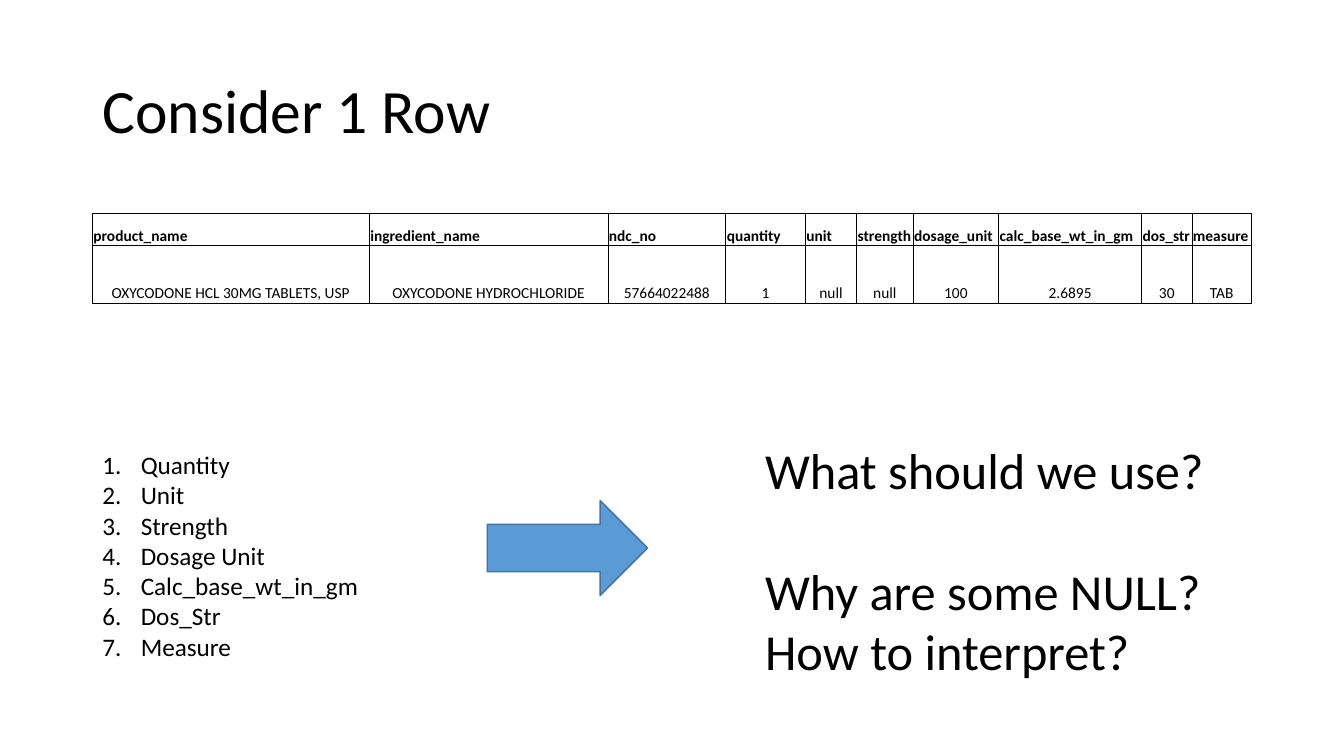
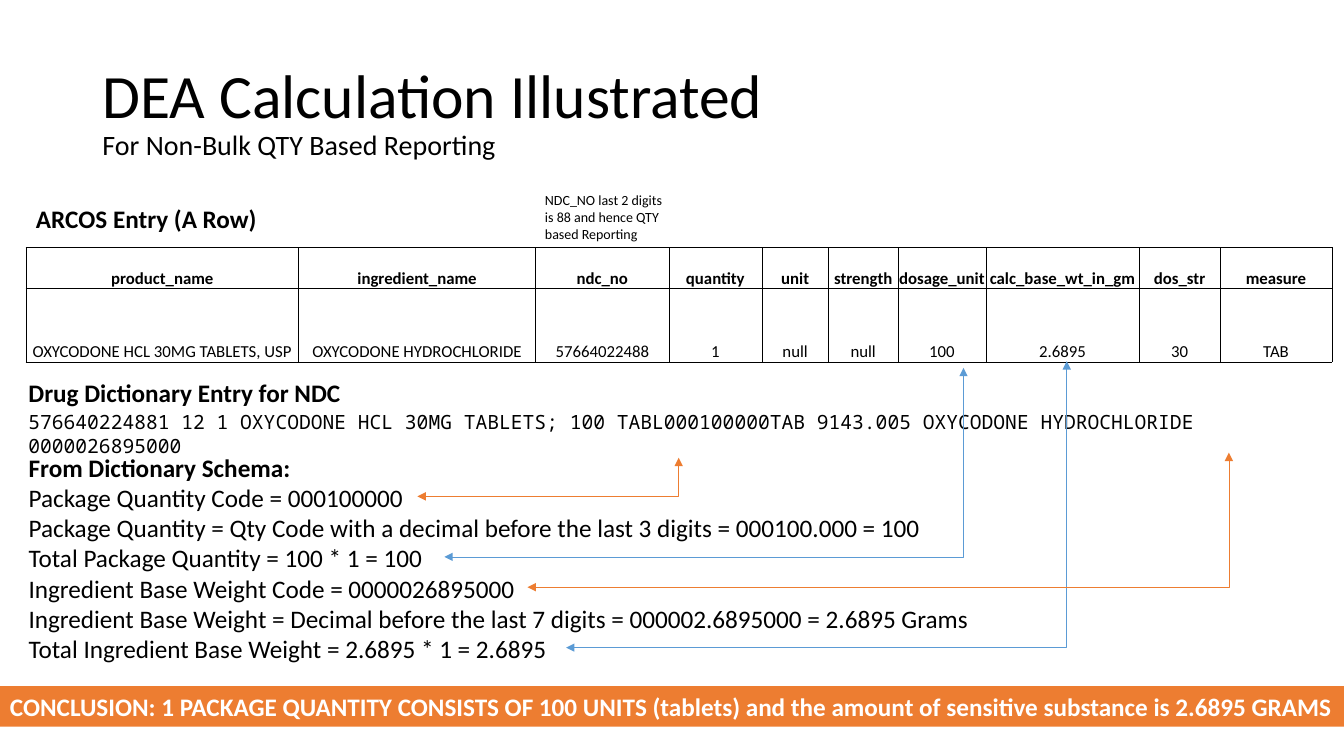
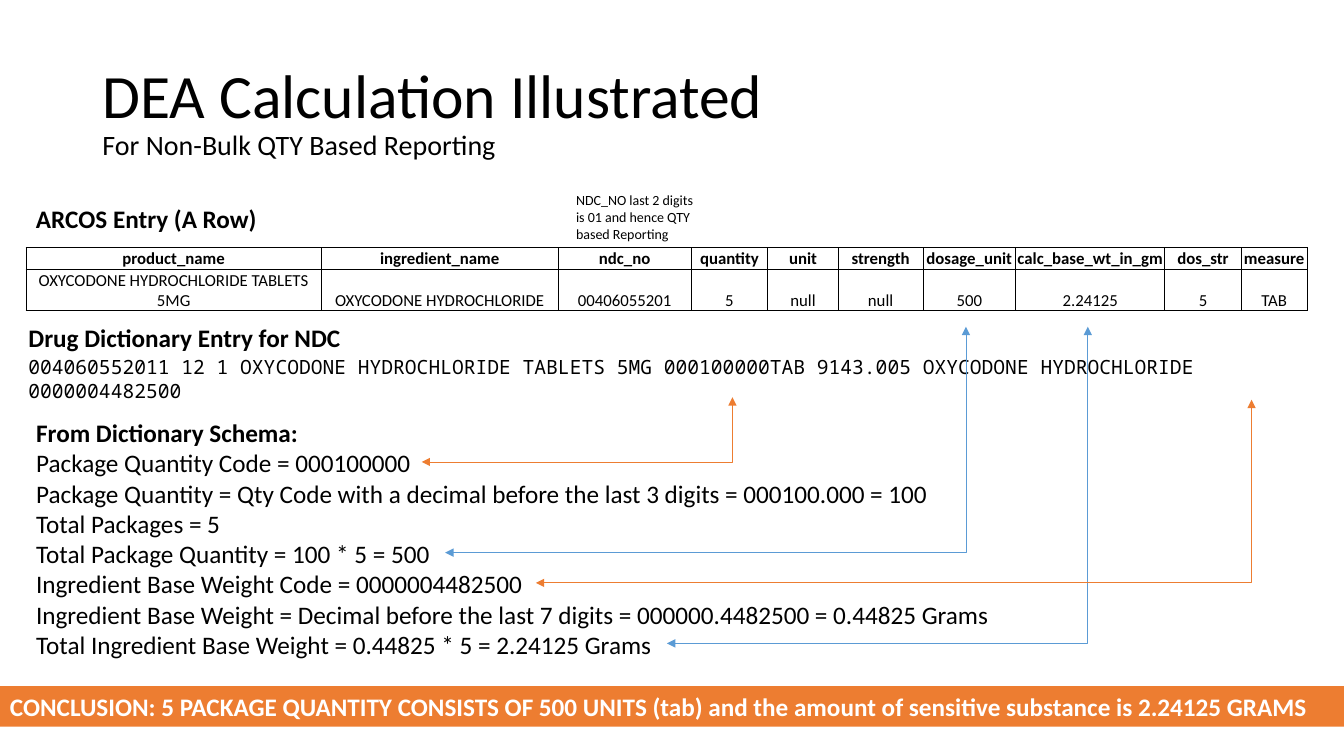
from dataclasses import dataclass

from lxml.etree import SubElement
from pptx import Presentation
from pptx.dml.color import RGBColor
from pptx.enum.shapes import MSO_CONNECTOR, MSO_SHAPE
from pptx.enum.text import MSO_ANCHOR, MSO_AUTO_SIZE, PP_ALIGN
from pptx.oxml.ns import qn
from pptx.util import Inches, Pt

# Slide grid: 160 columns by 90 rows of square cells
COLUMNS, ROWS = 160, 90
CELL = Inches(7.5) / ROWS


@dataclass(frozen=True)
class Theme:
    font: str = "Calibri"
    mono: str = "Noto Sans Mono"
    ink: RGBColor = RGBColor.from_string("000000")
    paper: RGBColor = RGBColor.from_string("FFFFFF")
    blue: RGBColor = RGBColor.from_string("5B9BD5")
    blue_edge: RGBColor = RGBColor.from_string("43739E")
    orange: RGBColor = RGBColor.from_string("ED7D31")
    title: int = 44
    question: int = 36
    subtitle: int = 20
    body: int = 18
    code: int = 14
    cell: int = 12
    small_cell: int = 11
    note: int = 10
    hairline: float = 0.5


THEME = Theme()


@dataclass(frozen=True)
class Box:
    left: float
    top: float
    width: float
    height: float

    def inner(self, dx, dy, width, height):
        return Box(self.left + dx, self.top + dy, width, height)

    def emu(self):
        return [grid(v) for v in (self.left, self.top, self.width, self.height)]


TITLE_BOX = Box(11, 4.8, 138, 17.4)
BAND_BOX = Box(0, 81.7, COLUMNS, 4.8)
HEADING_HEIGHT = 4.8
SCHEMA_FIRST_LINE, SCHEMA_LINE_PITCH = 2.3, 3.6

FIELDS = ["product_name", "ingredient_name", "ndc_no", "quantity", "unit",
          "strength", "dosage_unit", "calc_base_wt_in_gm", "dos_str", "measure"]


def grid(cells):
    return round(cells * CELL)


def apply(target, values):
    for name, value in values.items():
        setattr(target, name, value)


def move(shape, box):
    apply(shape, dict(zip(("left", "top", "width", "height"), box.emu())))


def add_run(paragraph, text, size, bold=False, color=THEME.ink, font=THEME.font):
    run = paragraph.add_run()
    run.text = text
    apply(run.font, {"size": Pt(size), "bold": bold, "name": font})
    run.font.color.rgb = color


def add_text(slide, box, paragraphs, size, anchor=MSO_ANCHOR.TOP, gap=0, **style):
    frame = slide.shapes.add_textbox(*box.emu()).text_frame
    apply(frame, {"word_wrap": True, "vertical_anchor": anchor,
                  "auto_size": MSO_AUTO_SIZE.SHAPE_TO_FIT_TEXT})
    for index, text in enumerate(paragraphs):
        paragraph = frame.paragraphs[0] if index == 0 else frame.add_paragraph()
        paragraph.space_before = Pt(gap if index else 0)
        add_run(paragraph, text, size, **style)


def add_titled_slide(deck, title, subtitle=None):
    slide = deck.slides.add_slide(deck.slide_layouts[1])
    heading = slide.shapes.title
    move(heading, TITLE_BOX)
    apply(heading.text_frame, {"auto_size": MSO_AUTO_SIZE.NONE,
                               "vertical_anchor": MSO_ANCHOR.MIDDLE})
    paragraph = heading.text_frame.paragraphs[0]
    apply(paragraph, {"alignment": PP_ALIGN.LEFT, "line_spacing": 0.9})
    add_run(paragraph, title, THEME.title)
    if subtitle:
        paragraph.add_line_break()
        add_run(paragraph, subtitle, THEME.subtitle)
    return slide


def fill_list(slide, box, lines, numbered=False, bold_first=False):
    body = slide.placeholders[1]
    move(body, box)
    frame = body.text_frame
    frame.auto_size = MSO_AUTO_SIZE.NONE
    indent = Inches(0.38) if numbered else 0
    for index, line in enumerate(lines):
        paragraph = frame.paragraphs[0] if index == 0 else frame.add_paragraph()
        apply(paragraph, {"space_before": Pt(0), "space_after": Pt(0)})
        add_run(paragraph, line, THEME.body, bold=bold_first and index == 0)
        properties = paragraph._p.get_or_add_pPr()
        properties.set("marL", str(indent))
        properties.set("indent", str(-indent))
        if numbered:
            SubElement(properties, qn("a:buFont"), typeface=THEME.font)
            SubElement(properties, qn("a:buAutoNum"), type="arabicPeriod")
        else:
            SubElement(properties, qn("a:buNone"))


def border_cell(cell):
    properties = cell._tc.get_or_add_tcPr()
    for position, side in enumerate(("lnL", "lnR", "lnT", "lnB")):
        edge = SubElement(properties, qn(f"a:{side}"), w=str(Pt(THEME.hairline)))
        paint = SubElement(edge, qn("a:solidFill"))
        SubElement(paint, qn("a:srgbClr"), val=str(THEME.ink))
        properties.insert(position, edge)


def add_record(slide, box, values, widths, heights, size, header_align=PP_ALIGN.CENTER):
    """Table of the field names over one row of values."""
    table = slide.shapes.add_table(2, len(FIELDS), *box.emu()).table
    apply(table, {"first_row": False, "horz_banding": False})
    for column, share in zip(table.columns, widths):
        column.width = grid(box.width * share / sum(widths))
    for row, share in zip(table.rows, heights):
        row.height = grid(box.height * share / sum(heights))
    for r, texts in enumerate((FIELDS, values)):
        for c, text in enumerate(texts):
            cell = table.cell(r, c)
            apply(cell, {"margin_left": Inches(0.01), "margin_right": Inches(0.01),
                         "margin_top": Inches(0.01), "margin_bottom": 0,
                         "vertical_anchor": MSO_ANCHOR.BOTTOM})
            cell.fill.background()
            border_cell(cell)
            paragraph = cell.text_frame.paragraphs[0]
            paragraph.alignment = PP_ALIGN.CENTER if r else header_align
            add_run(paragraph, text, size, bold=r == 0)


def add_source_arrow(slide, start, end, color):
    """Two-headed elbow: level from the formula, then up to its source."""
    arrow = slide.shapes.add_connector(
        MSO_CONNECTOR.ELBOW, *(grid(v) for v in (*start, *end)))
    arrow.line.color.rgb = color
    arrow.line.width = Pt(THEME.hairline)
    properties = arrow._element.spPr
    for side in ("headEnd", "tailEnd"):
        SubElement(properties.find(qn("a:ln")), qn(f"a:{side}"), type="triangle")
    SubElement(properties, qn("a:effectLst"))
    adjustments = properties.find(qn("a:prstGeom")).get_or_add_avLst()
    SubElement(adjustments, qn("a:gd"), name="adj1", fmla="val 100000")


def add_block(slide, box, preset, fill, edge=None):
    block = slide.shapes.add_shape(preset, *box.emu())
    block.shadow.inherit = False
    block.fill.solid()
    block.fill.fore_color.rgb = fill
    if edge is None:
        block.line.fill.background()
    else:
        block.line.color.rgb = edge
        block.line.width = Pt(1)
    return block


def add_conclusion(slide, box, text):
    band = add_block(slide, box, MSO_SHAPE.RECTANGLE, THEME.orange)
    apply(band.text_frame, {"word_wrap": True, "margin_right": 0,
                            "vertical_anchor": MSO_ANCHOR.MIDDLE})
    paragraph = band.text_frame.paragraphs[0]
    paragraph.alignment = PP_ALIGN.LEFT
    add_run(paragraph, f"CONCLUSION: {text}", THEME.body, bold=True, color=THEME.paper)


def add_arcos_entry(slide, box, case):
    add_text(slide, box.inner(0, 1.4, 42.4, HEADING_HEIGHT),
             ["ARCOS Entry (A Row)"], THEME.body, bold=True)
    add_text(slide, box.inner(case["note_dx"], 0, 17.2, 7.3),
             [f"NDC_NO last 2 digits is {case['ndc_end']} and hence QTY based Reporting"],
             THEME.note)
    add_record(slide, box.inner(0, 7.25, box.width, box.height - 7.25),
               case["values"], case["widths"], case["heights"], THEME.cell)


def add_dictionary_entry(slide, box, entry):
    add_text(slide, box.inner(0, 0, 40, HEADING_HEIGHT),
             ["Drug Dictionary Entry for NDC"], THEME.body, bold=True)
    add_text(slide, box.inner(0, 4.9, box.width, HEADING_HEIGHT), [entry],
             THEME.code, anchor=MSO_ANCHOR.MIDDLE, font=THEME.mono)


def add_schema(slide, box, lines, sources):
    fill_list(slide, box, ["From Dictionary Schema:", *lines], bold_first=True)
    for line, left, right, top, color in sources:
        level = box.top + SCHEMA_FIRST_LINE + SCHEMA_LINE_PITCH * line
        add_source_arrow(slide, (left, level), (right, top), color)


def build_row_slide(deck):
    slide = add_titled_slide(deck, "Consider 1 Row")
    add_record(slide, Box(11, 25.4, 138, 10.7), FIRST_CASE["values"],
               [2.75, 2.37, 1.17, 0.79, 0.51, 0.56, 0.85, 1.42, 0.5, 0.59],
               [0.32, 0.58], THEME.small_cell, PP_ALIGN.LEFT)
    fill_list(slide, Box(11, 52.9, 40.4, 26.6),
              ["Quantity", "Unit", "Strength", "Dosage Unit",
               "Calc_base_wt_in_gm", "Dos_Str", "Measure"], numbered=True)
    add_block(slide, Box(58, 59.6, 19.1, 11.3), MSO_SHAPE.RIGHT_ARROW,
              THEME.blue, THEME.blue_edge)
    add_text(slide, Box(89.9, 51.7, 59.2, 30.2),
             ["What should we use?", "Why are some NULL? How to interpret?"],
             THEME.question, gap=43)


def build_calculation_slide(deck, case):
    slide = add_titled_slide(deck, "DEA Calculation Illustrated",
                             "For Non-Bulk QTY Based Reporting")
    add_arcos_entry(slide, case["arcos_box"], case)
    add_dictionary_entry(slide, case["dictionary_box"], case["entry"])
    add_schema(slide, case["schema_box"], case["schema"], case["sources"])
    add_conclusion(slide, BAND_BOX, case["conclusion"])


FIRST_CASE = {
    "arcos_box": Box(3.1, 22.2, 155.5, 20.9),
    "note_dx": 60.6,
    "ndc_end": "88",
    "values": ["OXYCODONE HCL 30MG TABLETS, USP", "OXYCODONE HYDROCHLORIDE",
               "57664022488", "1", "null", "null", "100", "2.6895", "30", "TAB"],
    "widths": [2.7, 2.35, 1.32, 0.92, 0.66, 0.69, 0.87, 1.52, 0.8, 1.11],
    "heights": [0.41, 0.73],
    "dictionary_box": Box(2.2, 44.3, 155.5, 9.7),
    "entry": "576640224881 12 1 OXYCODONE HCL 30MG TABLETS; 100 TABL000100000TAB "
             "9143.005 OXYCODONE HYDROCHLORIDE 0000026895000",
    "schema_box": Box(2.2, 53.2, 121.3, 27.6),
    "schema": [
        "Package Quantity Code = 000100000",
        "Package Quantity = Qty Code with a decimal before the last 3 digits = 000100.000 = 100",
        "Total Package Quantity = 100 * 1 = 100",
        "Ingredient Base Weight Code = 0000026895000",
        "Ingredient Base Weight = Decimal before the last 7 digits = 000002.6895000 = 2.6895 Grams",
        "Total Ingredient Base Weight = 2.6895 * 1 = 2.6895",
    ],
    # Schema line, left end, right end, top, colour
    "sources": [(6, 67.4, 127, 43, THEME.blue), (3, 52.9, 114.7, 43.8, THEME.blue),
                (4, 62.8, 146.3, 53.9, THEME.orange), (1, 49.7, 80.8, 54.5, THEME.orange)],
    "conclusion": "1 PACKAGE QUANTITY CONSISTS OF 100 UNITS (tablets) and the amount "
                  "of sensitive substance is 2.6895 GRAMS",
}

SECOND_CASE = {
    "arcos_box": Box(3.1, 22.2, 152.5, 14.7),
    "note_dx": 64.3,
    "ndc_end": "01",
    "values": ["OXYCODONE HYDROCHLORIDE TABLETS 5MG", "OXYCODONE HYDROCHLORIDE",
               "00406055201", "5", "null", "null", "500", "2.24125", "5", "TAB"],
    "widths": [2.93, 2.35, 1.32, 0.76, 0.7, 0.84, 0.92, 1.48, 0.76, 0.65],
    "heights": [0.19, 0.35],
    "dictionary_box": Box(2.2, 37.8, 155.5, 9.7),
    "entry": "004060552011 12 1 OXYCODONE HYDROCHLORIDE TABLETS 5MG 000100000TAB "
             "9143.005 OXYCODONE HYDROCHLORIDE 0000004482500",
    "schema_box": Box(3.1, 49.1, 121.3, 31.2),
    "schema": [
        "Package Quantity Code = 000100000",
        "Package Quantity = Qty Code with a decimal before the last 3 digits = 000100.000 = 100",
        "Total Packages = 5",
        "Total Package Quantity = 100 * 5 = 500",
        "Ingredient Base Weight Code = 0000004482500",
        "Ingredient Base Weight = Decimal before the last 7 digits = 000000.4482500 = 0.44825 Grams",
        "Total Ingredient Base Weight = 0.44825 * 5 = 2.24125 Grams",
    ],
    "sources": [(7, 79.4, 129.5, 38.9, THEME.blue), (4, 53, 115, 38.9, THEME.blue),
                (5, 63.8, 149, 47.6, THEME.orange), (1, 50.2, 87.2, 47.3, THEME.orange)],
    "conclusion": "5 PACKAGE QUANTITY CONSISTS OF 500 UNITS (tab) and the amount "
                  "of sensitive substance is 2.24125 GRAMS",
}


def main():
    deck = Presentation()
    apply(deck, {"slide_width": grid(COLUMNS), "slide_height": grid(ROWS)})
    build_row_slide(deck)
    for case in (FIRST_CASE, SECOND_CASE):
        build_calculation_slide(deck, case)
    deck.save("out.pptx")


if __name__ == "__main__":
    main()
